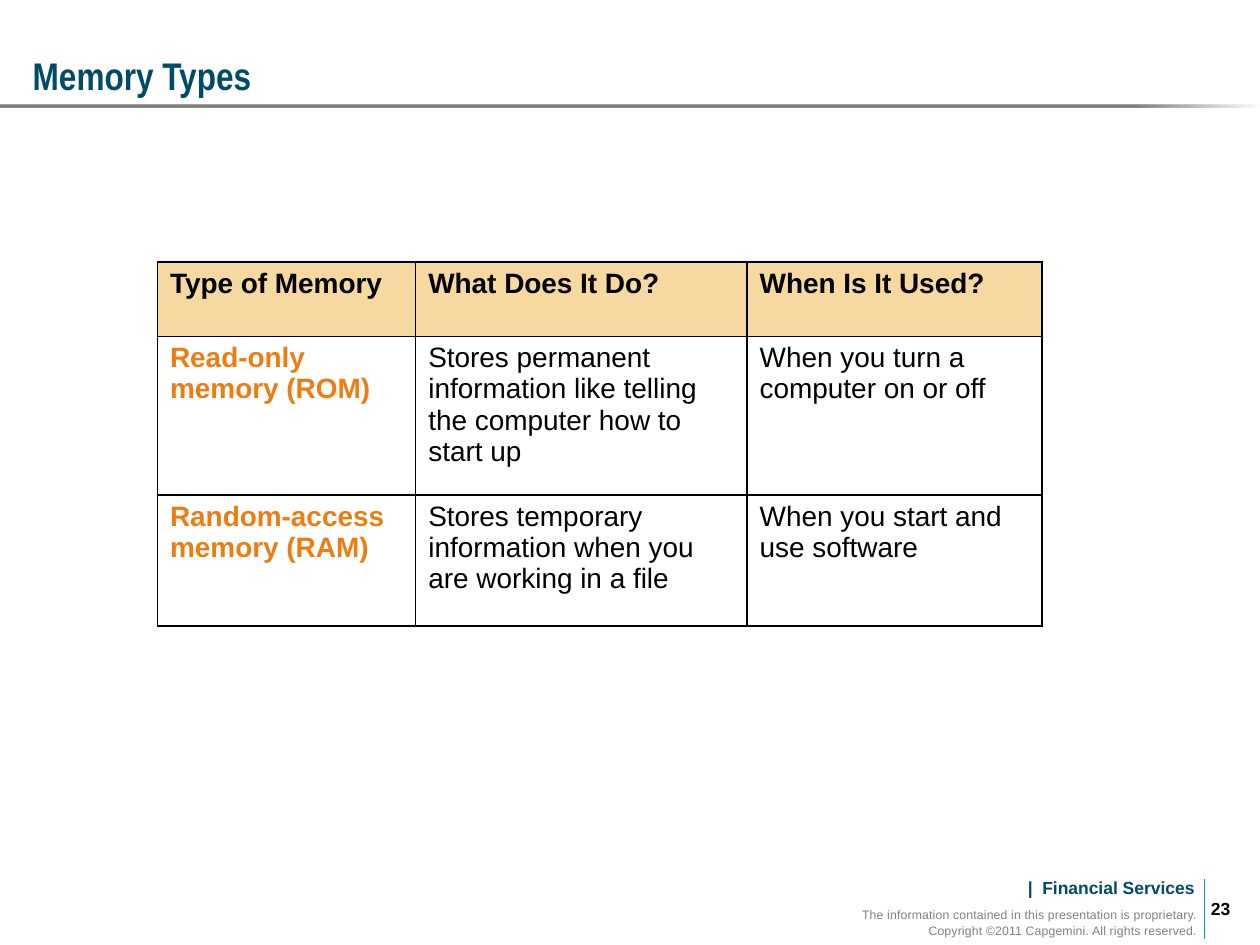
import dataclasses
import typing

import lxml.etree
import pptx
import pptx.dml.color
import pptx.enum.shapes
import pptx.enum.text
import pptx.oxml
import pptx.oxml.ns
import pptx.util

W, H = 10, 7.5
TEAL, GRAY, BLACK, ORANGE, GOLD, BLUE = "004B66", "808080", "000000", "EE7D11", "EEB544", "009BCC"
NS = 'xmlns:a="http://schemas.openxmlformats.org/drawingml/2006/main"'
ALIGN = pptx.enum.text.PP_ALIGN
ANCHOR = pptx.enum.text.MSO_ANCHOR
Box = tuple[float, float, float, float]


@dataclasses.dataclass
class Style:
    size: float
    color: str
    bold: bool = False
    font: str = "Arial"
    tracking: int = 0  # hundredths of a point


@dataclasses.dataclass
class Label:
    box: Box
    lines: list[str]
    style: Style
    insets: Box
    align: ALIGN = ALIGN.LEFT
    anchor: ANCHOR = ANCHOR.TOP
    leading: typing.Optional[float] = None
    wrap: bool = True


def inch(n: float) -> int:
    return pptx.util.Inches(n)


def rgb(color: str) -> pptx.dml.color.RGBColor:
    return pptx.dml.color.RGBColor.from_string(color)


def xml(text: str) -> lxml.etree._Element:
    return pptx.oxml.parse_xml(text)


def add_run(p, text: str, style: Style) -> None:
    r = p.add_run()
    r.text = text
    r.font.size = pptx.util.Pt(style.size)
    r.font.name = style.font
    r.font.bold = style.bold
    r.font.color.rgb = rgb(style.color)
    if style.tracking:
        r.font._element.set("spc", str(style.tracking))


def fill_label(sp, label: Label) -> None:
    sp.left, sp.top, sp.width, sp.height = map(inch, label.box)
    tf = sp.text_frame
    tf.word_wrap = label.wrap
    tf.auto_size = pptx.enum.text.MSO_AUTO_SIZE.NONE
    tf.vertical_anchor = label.anchor
    tf.margin_left, tf.margin_top, tf.margin_right, tf.margin_bottom = map(inch, label.insets)
    for i, line in enumerate(label.lines):
        p = tf.add_paragraph() if i else tf.paragraphs[0]
        p.alignment = label.align
        if label.leading:
            p.line_spacing = pptx.util.Pt(label.leading)
        add_run(p, line, label.style)


def add_rule(s, top: float, height: float) -> None:
    """Full-width bar that fades out at its right end."""
    sp = s.shapes.add_shape(pptx.enum.shapes.MSO_SHAPE.RECTANGLE, 0, inch(top), inch(W), inch(height))
    sp.shadow.inherit = False
    sp.line.fill.background()
    sp.fill.gradient()
    sp.fill.gradient_angle = 0
    stops = sp._element.spPr.find(".//" + pptx.oxml.ns.qn("a:gsLst"))
    for stop in list(stops):
        stops.remove(stop)
    for pos, alpha in ((40, 100), (90, 100), (100, 0)):
        stops.append(xml(f'<a:gs {NS} pos="{pos * 1000}"><a:srgbClr val="{GRAY}">'
                         f'<a:alpha val="{alpha * 1000}"/></a:srgbClr></a:gs>'))


def add_divider(s, x: float, top: float, bottom: float) -> None:
    line = s.shapes.add_connector(pptx.enum.shapes.MSO_CONNECTOR.STRAIGHT,
                                  *map(inch, (x, top, x, bottom)))
    line.line.color.rgb = rgb(BLUE)
    line.line.width = pptx.util.Pt(0.75)
    line._element.spPr.append(xml(f"<a:effectLst {NS}/>"))


def format_cell(cell, text: str, style: Style, header: bool) -> None:
    add_run(cell.text_frame.paragraphs[0], text, style)
    if header:
        cell.fill.solid()
        cell.fill.fore_color.rgb = rgb(GOLD)
        color = cell._tc.tcPr.find(".//" + pptx.oxml.ns.qn("a:srgbClr"))
        color.append(xml(f'<a:alpha {NS} val="50000"/>'))
    else:
        cell.fill.background()
    for i, side in enumerate("LRTB"):
        cell._tc.tcPr.insert(i, xml(f'<a:ln{side} {NS} w="12700"><a:solidFill>'
                                    f'<a:srgbClr val="{BLACK}"/></a:solidFill></a:ln{side}>'))


def add_memory_table(s, left: float, top: float, cols: list[float], heights: list[float],
                     rows: list[list[str]]) -> None:
    table = s.shapes.add_table(len(rows), len(cols), *map(
        inch, (left, top, sum(cols), sum(heights)))).table
    table.horz_banding = False
    for col, width in zip(table.columns, cols):
        col.width = inch(width)
    for r, (row, height) in enumerate(zip(rows, heights)):
        table.rows[r].height = inch(height)
        for c, text in enumerate(row):
            color = ORANGE if r and not c else BLACK
            format_cell(table.cell(r, c), text, Style(16, color, bold=r == 0 or c == 0), r == 0)


ROWS = [
    ["Type of Memory", "What Does It Do?", "When Is It Used?"],
    ["Read-only memory (ROM)",
     "Stores permanent information like telling the computer how to start up",
     "When you turn a computer on or off"],
    ["Random-access memory (RAM)",
     "Stores temporary information when you are working in a file",
     "When you start and use software"],
]

TITLE = Label((0.26, 0.23, 9.53, 0.6), ["Memory Types"], Style(22, TEAL, True, "Arial Narrow"),
              (0, 0.05, 0.1, 0.05), anchor=ANCHOR.BOTTOM)

FOOTER = [
    Label((8.11, 6.91, 1.42, 0.27), ["|  Financial Services"], Style(10, TEAL, True),
          (0.04, 0.05, 0.05, 0.05), ALIGN.RIGHT, wrap=False),
    Label((6.65, 7.17, 2.87, 0.25),
          ["The information contained in this presentation is proprietary.",
           "Copyright ©2011 Capgemini. All rights reserved."],
          Style(7, GRAY, tracking=10), (0.02, 0.02, 0.02, 0.02), ALIGN.RIGHT, leading=9),
    Label((9.61, 7.12, 0.31, 0.18), ["23"], Style(10, BLACK, True),
          (0, 0.01, 0, 0.01), anchor=ANCHOR.MIDDLE),
]


def main() -> None:
    prs = pptx.Presentation()
    prs.slide_width, prs.slide_height = inch(W), inch(H)
    s = prs.slides.add_slide(prs.slide_layouts[5])

    # Title and the rule under it
    fill_label(s.shapes.title, TITLE)
    add_rule(s, 0.83, 0.02)

    # Footer
    for label in FOOTER:
        fill_label(s.shapes.add_textbox(0, 0, 0, 0), label)
    add_divider(s, 9.56, 6.98, 7.45)

    # Comparison of memory types
    add_memory_table(s, W / 8, 2.08, [2.05, 2.63, 2.34], [0.59, 1.26, 1.04], ROWS)

    prs.save("out.pptx")


if __name__ == "__main__":
    main()
